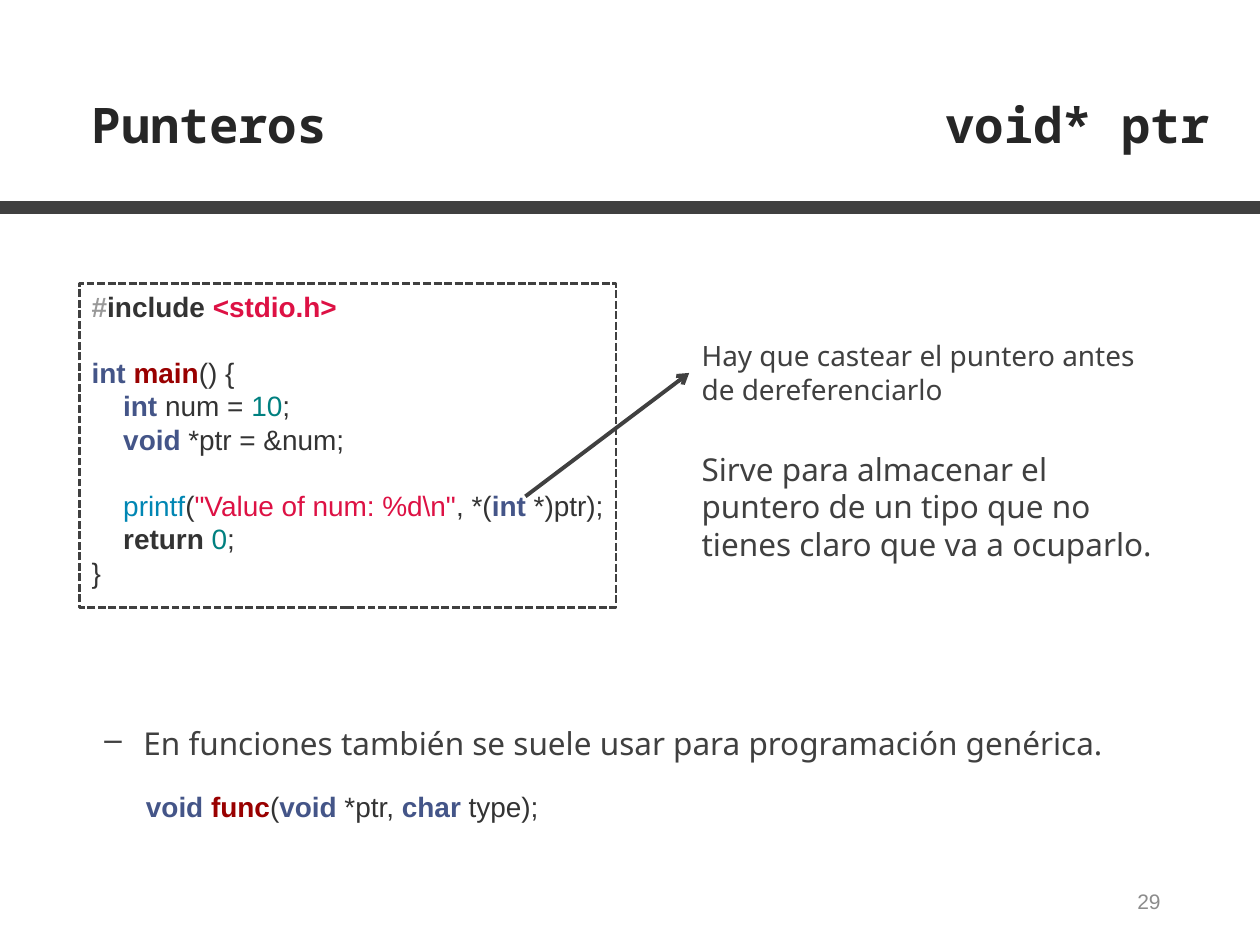
from lxml import etree
from pptx import Presentation, util as u
from pptx.dml.color import RGBColor
from pptx.enum import dml, shapes, text as t
from pptx.oxml import ns

W, H = u.Inches(10), u.Inches(7.5)
COL, ROW = W / 100, H / 75
DARK = "404040"
STYLES = {
    "hash": ("999999", True), "bold": ("333333", True), "plain": ("333333", False),
    "header": ("DD1144", True), "string": ("DD1144", False), "type": ("445588", True),
    "name": ("990000", True), "number": ("008080", False), "call": ("0086B3", False),
}
PROGRAM = [
    (0, 0, [("#", "hash"), ("include ", "bold"), ("<stdio.h>", "header")]),
    (0, 1, [("int ", "type"), ("main", "name"), ("() {", "plain")]),
    (1, 0, [("int", "type"), (" num = ", "plain"), ("10", "number"), (";", "plain")]),
    (1, 0, [("void", "type"), (" *ptr = &num;", "plain")]),
    (1, 1, [("printf", "call"), ("(", "plain"), ('"Value of num: %d\\n"', "string"),
            (", *(", "plain"), ("int", "type"), (" *)ptr);", "plain")]),
    (1, 0, [("return ", "bold"), ("0", "number"), (";", "plain")]),
    (0, 0, [("}", "plain")]),
]
PROTOTYPE = [
    (0, 0, [("void ", "type"), ("func", "name"), ("(", "plain"), ("void", "type"),
            (" *ptr, ", "plain"), ("char", "type"), (" type);", "plain")]),
]


def color(value):
    """Turn a hex string into a colour."""
    return RGBColor.from_string(value)


def emu(box):
    """Turn columns and rows into slide lengths."""
    x, y, w, h = box
    return round(x * COL), round(y * ROW), round(w * COL), round(h * ROW)


def within(box, x, y, w, h):
    """Place a part by its offset from the corner of a box."""
    return box[0] + x, box[1] + y, w, h


def add_run(p, text, size=16, font="Arial", fill=DARK, bold=False):
    """Append a formatted run to a paragraph."""
    r = p.add_run()
    r.text = text
    r.font.size, r.font.name, r.font.bold = u.Pt(size), font, bold
    r.font.color.rgb = color(fill)


def add_frame(s, box, anchor=t.MSO_ANCHOR.TOP):
    """Add a wrapping text box and return its frame."""
    tf = s.shapes.add_textbox(*emu(box)).text_frame
    tf.word_wrap, tf.vertical_anchor = True, anchor
    return tf


def add_text(s, box, text, align=t.PP_ALIGN.LEFT, anchor=t.MSO_ANCHOR.TOP, **fmt):
    """Add a one-paragraph text box and return the paragraph."""
    p = add_frame(s, box, anchor).paragraphs[0]
    p.alignment = align
    add_run(p, text, **fmt)
    return p


def add_code(s, box, lines):
    """Set highlighted code lines given as indent level, gap and tokens."""
    tf = add_frame(s, box)
    for i, (level, gap, tokens) in enumerate(lines):
        p = tf.add_paragraph() if i else tf.paragraphs[0]
        p.space_before = u.Pt(18.4 * gap)
        p._p.get_or_add_pPr().set("marL", str(u.Inches(0.25 * level)))
        for text, style in tokens:
            fill, bold = STYLES[style]
            add_run(p, text, fill=fill, bold=bold)


def add_rect(s, box, width):
    """Add an outlined rectangle without fill."""
    sp = s.shapes.add_shape(shapes.MSO_SHAPE.RECTANGLE, *emu(box))
    sp.shadow.inherit = False
    sp.fill.background()
    sp.line.color.rgb, sp.line.width = color(DARK), u.Pt(width)
    return sp


def header(s, box):
    """Draw both headings and the rule below them."""
    fmt = dict(size=28, font="Noto Sans Mono", fill="262626", bold=True)
    add_text(s, within(box, 0, 0, 56.6, 5.7), "Punteros", **fmt)
    add_text(s, within(box, 40.3, 0, 50.4, 5.7), "void* ptr", align=t.PP_ALIGN.RIGHT, **fmt)
    bar = add_rect(s, within(box, -10.1, 9, 105.5, 0.9), 1)
    bar.fill.solid()
    bar.fill.fore_color.rgb = color(DARK)


def program(s, box):
    """Draw the code panel with its dashed frame and arrow."""
    x, y, w, h = box
    add_code(s, (x, y, w + 1, h), PROGRAM)
    add_rect(s, box, 1.5).line.dash_style = dml.MSO_LINE.SQUARE_DOT
    x1, y1, x2, y2 = emu((x + 35.4, y + 16.9, x + 48.4, y + 7.1))
    cx = s.shapes.add_connector(shapes.MSO_CONNECTOR.STRAIGHT, x1, y1, x2, y2)
    cx.line.color.rgb, cx.line.width = color(DARK), u.Pt(2.25)
    etree.SubElement(cx.line._get_or_add_ln(), ns.qn("a:tailEnd"), type="arrow")
    etree.SubElement(cx._element.spPr, ns.qn("a:effectLst"))


def remarks(s, box):
    """Write the two remarks beside the code."""
    add_text(s, within(box, 0, 0, 39.1, 6.3),
             "Hay que castear el puntero antes de dereferenciarlo", font="Noto Sans")
    add_text(s, within(box, 0, 8.8, 37.7, 13),
             "Sirve para almacenar el puntero de un tipo que no tienes claro que va a ocuparlo.",
             size=18, font="Noto Sans")


def generic_use(s, box):
    """Write the dashed point and the function prototype."""
    p = add_text(s, within(box, 0, 0, 83.3, 4),
                 "En funciones también se suele usar para programación genérica.",
                 size=18, font="Noto Sans")
    pPr = p._p.get_or_add_pPr()
    pPr.set("marL", str(u.Inches(0.31)))
    pPr.set("indent", str(-u.Inches(0.31)))
    etree.SubElement(pPr, ns.qn("a:buChar"), char="–")
    add_code(s, within(box, 3.3, 5.2, 34.2, 3.7), PROTOTYPE)


def page_number(s, box):
    """Write the page number."""
    add_text(s, box, "29", align=t.PP_ALIGN.RIGHT, anchor=t.MSO_ANCHOR.MIDDLE,
             size=12, fill="8C8C8C")


def main():
    """Build and save the slide."""
    prs = Presentation()
    prs.slide_width, prs.slide_height = W, H
    s = prs.slides.add_slide(prs.slide_layouts[6])
    header(s, (6.3, 7, 90.7, 9.9))
    page_number(s, (70.6, 69.5, 22.5, 4))
    program(s, (6.3, 22.5, 42.6, 25.7))
    remarks(s, (54.7, 26.4, 39.1, 21.8))
    generic_use(s, (7.3, 57, 83.3, 8.9))
    prs.save("out.pptx")


if __name__ == "__main__":
    main()
